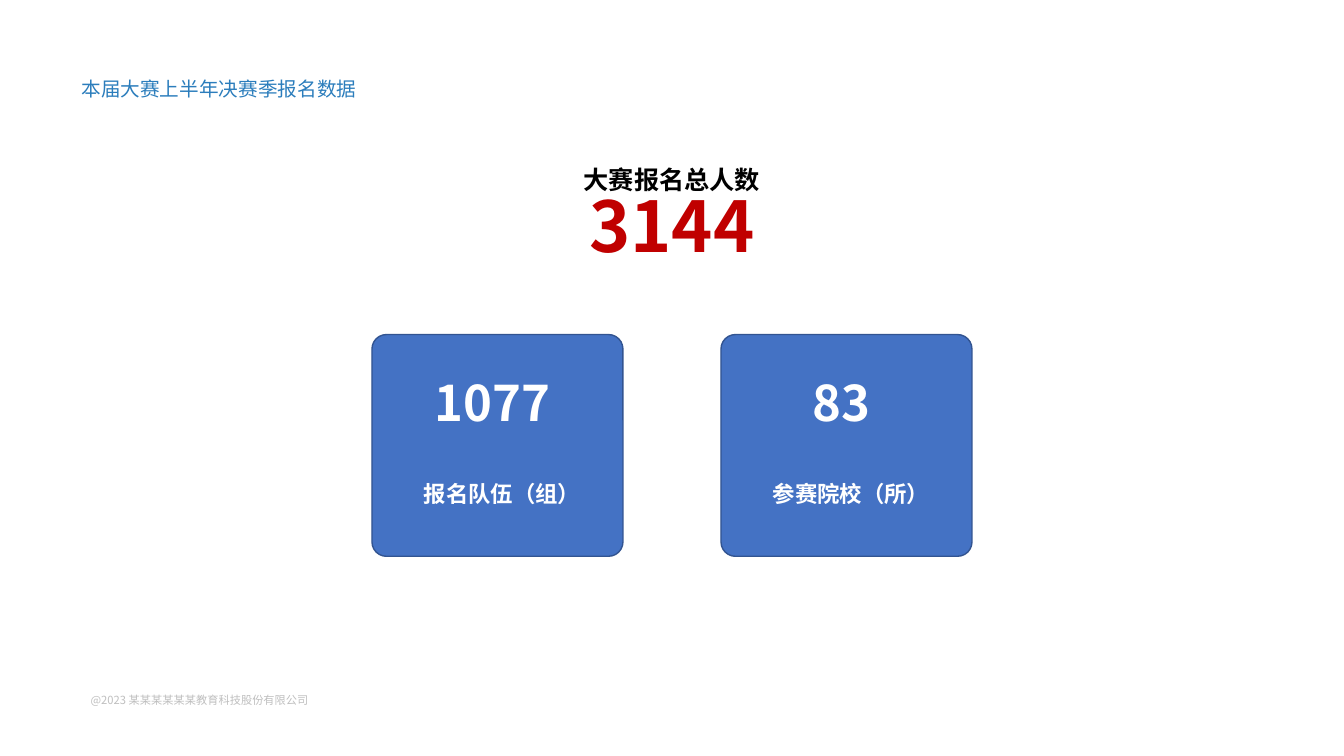
from pptx import Presentation
from pptx.dml.color import RGBColor
from pptx.enum import shapes, text
from pptx.oxml import ns
from pptx.util import Pt
from lxml import etree

FONT = "Noto Sans CJK SC"
LINE_SPACING = 0.87
BLUE = RGBColor(0x44, 0x72, 0xC4)
BLUE_EDGE = RGBColor(0x32, 0x54, 0x91)
TITLE_BLUE = RGBColor(0x2B, 0x7D, 0xBC)
RED = RGBColor(0xC0, 0x00, 0x00)
BLACK = RGBColor(0x00, 0x00, 0x00)
WHITE = RGBColor(0xFF, 0xFF, 0xFF)
GREY = RGBColor(0xBF, 0xBF, 0xBF)


def add_text(parent, left, top, width, height, lines, align, bold=False):
    """Add a text box; each line is (wording, size, colour)."""
    box = parent.add_textbox(Pt(left), Pt(top), Pt(width), Pt(height))
    frame = box.text_frame
    frame.word_wrap = True
    frame.text = "\n".join(wording for wording, _, _ in lines)
    for para, (_, size, colour) in zip(frame.paragraphs, lines):
        para.alignment = align
        para.line_spacing = LINE_SPACING
        span = para.runs[0]
        span.font.name = FONT
        span.font.size = Pt(size)
        span.font.bold = bold
        span.font.color.rgb = colour
        # East Asian typeface for the Chinese characters
        east_asian = etree.SubElement(span.font._element, ns.qn("a:ea"))
        east_asian.set("typeface", FONT)


def add_title(page, left, top, width, height):
    add_text(page.shapes, left, top, width, height,
             [("本届大赛上半年决赛季报名数据", 14, TITLE_BLUE)], text.PP_ALIGN.LEFT)


def add_total(page, left, top, width, height):
    add_text(page.shapes, left, top, width, height,
             [("大赛报名总人数", 18, BLACK), ("3144", 50, RED)],
             text.PP_ALIGN.CENTER, bold=True)


def add_card(page, left, top, width, height, number, label):
    group = page.shapes.add_group_shape()

    # Rounded panel
    panel = group.shapes.add_shape(shapes.MSO_SHAPE.ROUNDED_RECTANGLE,
                                   Pt(left), Pt(top), Pt(width), Pt(height))
    panel.adjustments[0] = 0.065
    panel.shadow.inherit = False
    panel.fill.solid()
    panel.fill.fore_color.rgb = BLUE
    panel.line.color.rgb = BLUE_EDGE
    panel.line.width = Pt(1)

    # Number above its label
    text_width = width - 18.7
    add_text(group.shapes, left + 5.8, top + 29.5, text_width, 49.7,
             [(number, 35, WHITE)], text.PP_ALIGN.CENTER, bold=True)
    add_text(group.shapes, left + 12.6, top + 103, text_width, 26.6,
             [(label, 16, WHITE)], text.PP_ALIGN.CENTER, bold=True)


def add_cards(page, left, top, width, height):
    cards = [("1077", "报名队伍（组）"), ("83", "参赛院校（所）")]
    card_width = 179.3
    step = (width - card_width) / (len(cards) - 1)
    for index, (number, label) in enumerate(cards):
        add_card(page, left + index * step, top, card_width, height, number, label)


def add_footer(page, left, top, width, height):
    add_text(page.shapes, left, top, width, height,
             [("@2023 某某某某某某教育科技股份有限公司", 8, GREY)],
             text.PP_ALIGN.JUSTIFY)


def main():
    deck = Presentation()
    deck.slide_width, deck.slide_height = Pt(960), Pt(540)
    page = deck.slides.add_slide(deck.slide_layouts[6])
    add_footer(page, 57.6, 493.2, 191.5, 17.3)
    add_total(page, 187.9, 116.6, 583.9, 93.6)
    add_cards(page, 265.7, 239, 428.6, 158.4)
    add_title(page, 51.1, 54, 269.3, 24.5)
    deck.save("out.pptx")


if __name__ == "__main__":
    main()
